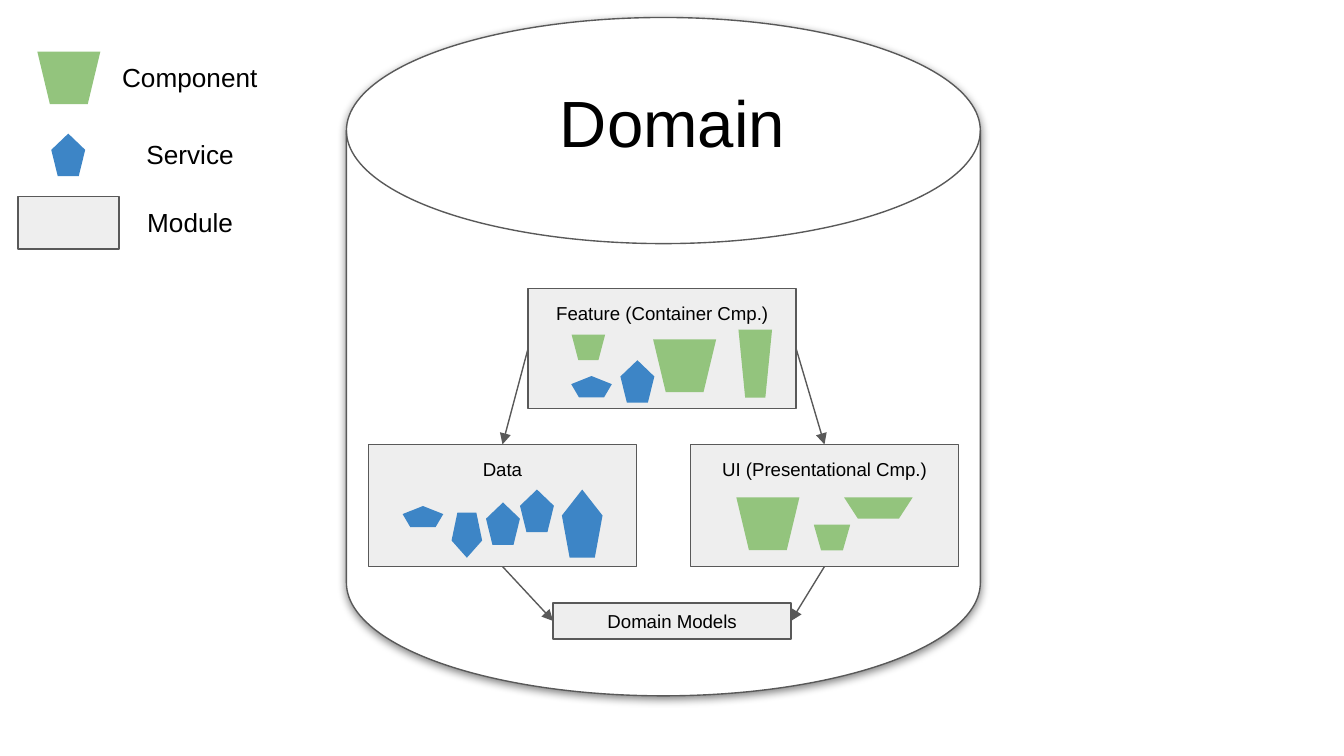
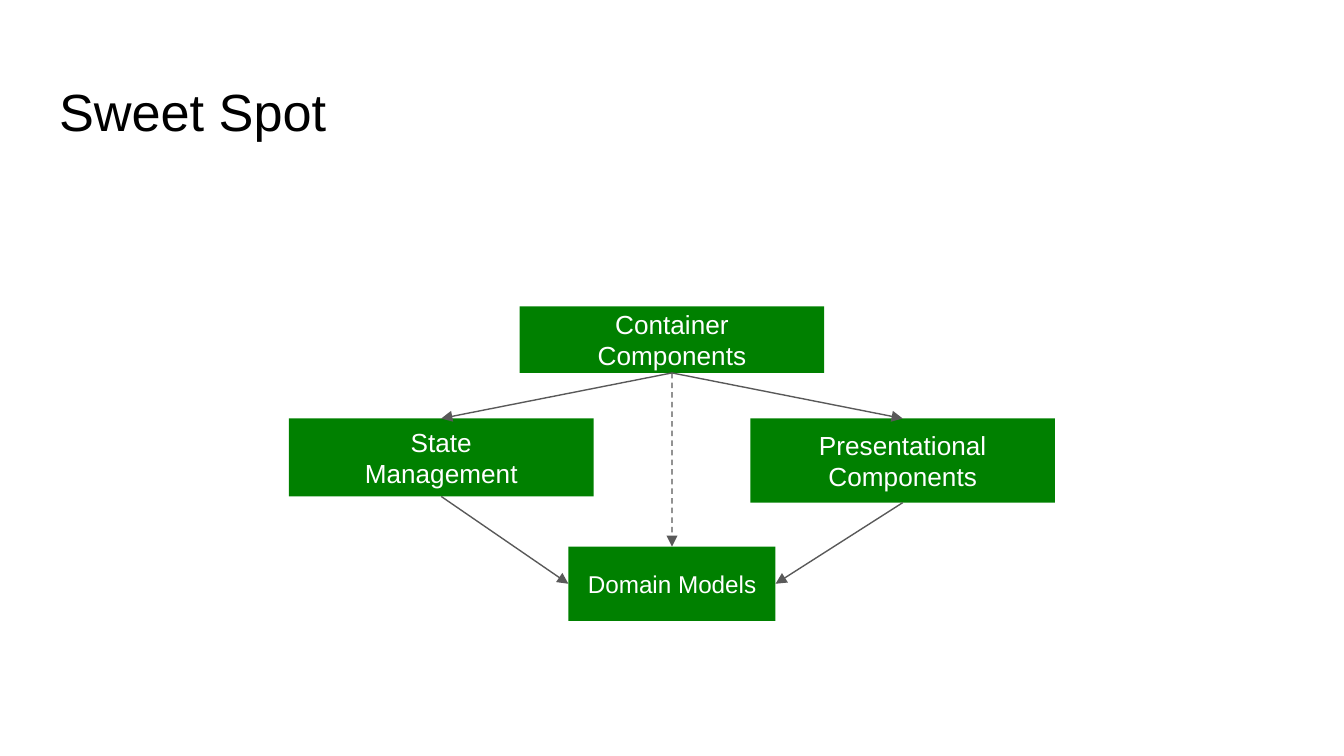
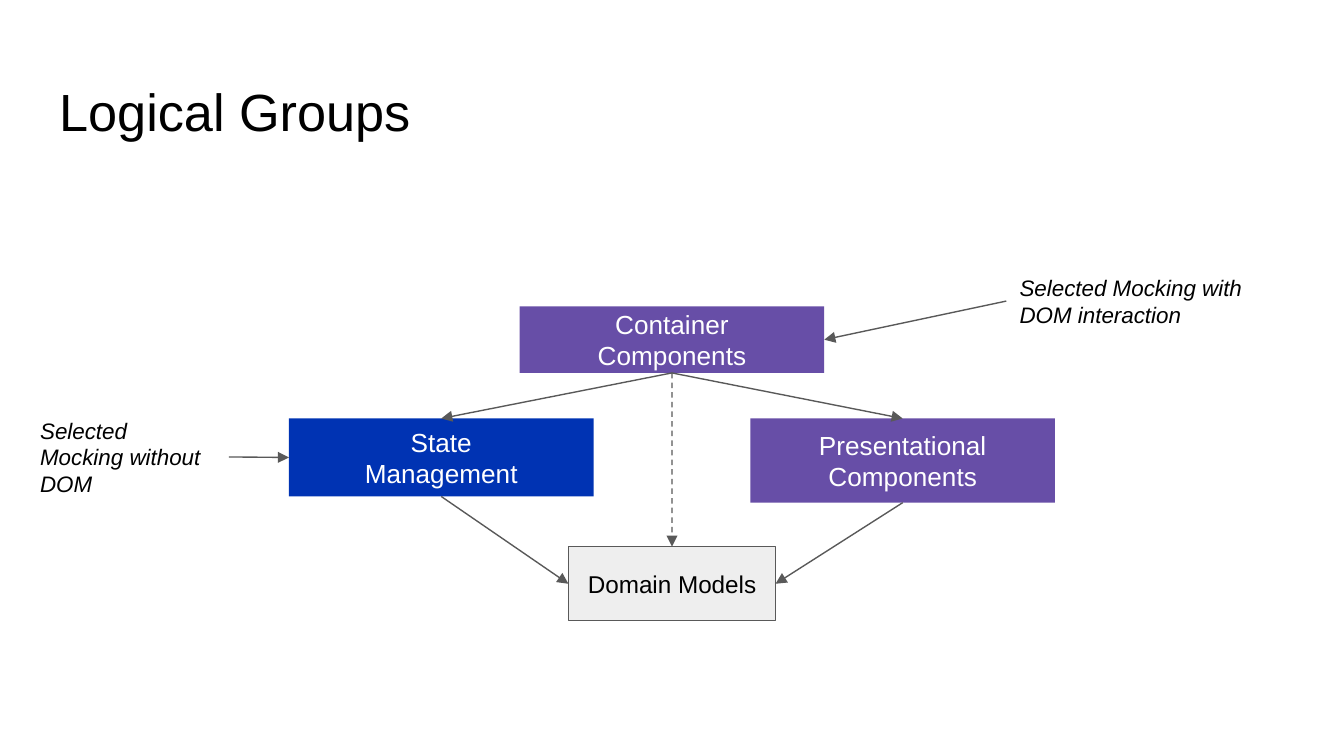
from lxml import etree
from pptx import Presentation
from pptx.dml.color import RGBColor
from pptx.enum import dml, shapes, text
from pptx.oxml import ns
from pptx.util import Pt

BLACK = RGBColor(0x00, 0x00, 0x00)
WHITE = RGBColor(0xFF, 0xFF, 0xFF)
GREY = RGBColor(0x59, 0x59, 0x59)
PALE = RGBColor(0xEE, 0xEE, 0xEE)
LEAF = RGBColor(0x93, 0xC4, 0x7D)
SKY = RGBColor(0x3D, 0x85, 0xC6)
GREEN = RGBColor(0x00, 0x80, 0x00)
PURPLE = RGBColor(0x67, 0x4E, 0xA7)
BLUE = RGBColor(0x00, 0x33, 0xB3)

FONT = "Arial"
INSET = 7.2
TOP, LEFT, BOTTOM, RIGHT = range(4)
KIND = shapes.MSO_SHAPE
CENTER = text.PP_ALIGN.CENTER
MIDDLE = text.MSO_ANCHOR.MIDDLE

DISK = (185.6, 9.4, 339.6, 363.4)
DOMAIN = (262, 36.7, 196.6, 56.9)
MODULES = {
    "Feature (Container Cmp.)": (282.9, 154.6, 143.6, 64.2),
    "Data": (197.4, 238.1, 143.6, 65.4),
    "UI (Presentational Cmp.)": (369.9, 238.1, 143.6, 65.4),
}
MODELS = (296.3, 323, 127.5, 19.3)
MODULE_ARROWS = [
    ("Feature (Container Cmp.)", LEFT, "Data", TOP),
    ("Feature (Container Cmp.)", RIGHT, "UI (Presentational Cmp.)", TOP),
    ("Data", BOTTOM, "Domain Models", LEFT),
    ("UI (Presentational Cmp.)", BOTTOM, "Domain Models", RIGHT),
]
COMPONENTS = [
    (349.9, 181.8, 33.8, 28.2),
    (394.5, 266.5, 33.8, 28.2),
    (452.2, 266.5, 36.7, 11.3),
    (436, 281.1, 19.5, 13.7),
    (306.2, 179.2, 18, 13.7),
    (395.6, 176.6, 18, 36.5),
    (20, 27.6, 33.8, 28.2),
]
SERVICES = [
    (306, 201.5, 21.8, 11.4, 0),
    (332.4, 193, 18.2, 22.8, 0),
    (215.7, 271.1, 21.8, 11.4, 0),
    (241.9, 274.6, 16.4, 24.2, 180),
    (301, 262.3, 21.8, 36.5, 0),
    (260.4, 269.2, 18.2, 22.8, 0),
    (278.6, 262.3, 18.2, 22.8, 0),
    (27.5, 71.6, 18.2, 22.8, 0),
]
LEGEND = [("Component", 25.9, None), ("Service", 67, CENTER), ("Module", 103.5, CENTER)]
LEGEND_MODULE = (9.6, 105.3, 54.1, 28.1)

TITLE = (24.5, 35, 670.9, 45.1)
LAYERS = {
    "container": ("Container\nComponents", (278.4, 164.2, 163.2, 35.6), 14),
    "view": ("Presentational Components", (402, 224.2, 163.2, 45.1), 14),
    "state": ("State\nManagement", (154.8, 224.2, 163.2, 41.8), 14),
    "models": ("Domain Models", (304.5, 292.9, 111, 39.7), 13),
}
LAYER_ARROWS = [
    ("container", BOTTOM, "state", TOP, False),
    ("container", BOTTOM, "view", TOP, False),
    ("container", BOTTOM, "models", TOP, True),
    ("state", BOTTOM, "models", LEFT, False),
    ("view", BOTTOM, "models", RIGHT, False),
]
DIAGRAMS = [
    {"title": "Sweet Spot", "fills": dict.fromkeys(LAYERS, GREEN), "callouts": []},
    {
        "title": "Logical Groups",
        "fills": {"container": PURPLE, "view": PURPLE, "state": BLUE, "models": PALE},
        "callouts": [
            ("Selected Mocking without DOM", (14.4, 223.9, 108.2, 41.8), RIGHT, "state", LEFT),
            ("Selected Mocking with DOM interaction", (539.1, 140.4, 152.6, 41.8),
             LEFT, "container", RIGHT),
        ],
    },
]


def write(box, words, size, color=BLACK, align=None, anchor=text.MSO_ANCHOR.TOP,
          italic=False, grow=False):
    frame = box.text_frame
    frame.word_wrap = True
    frame.auto_size = (text.MSO_AUTO_SIZE.SHAPE_TO_FIT_TEXT if grow
                       else text.MSO_AUTO_SIZE.NONE)
    frame.vertical_anchor = anchor
    frame.margin_left = frame.margin_right = Pt(INSET)
    frame.margin_top = frame.margin_bottom = Pt(INSET)
    frame.text = words
    for para in frame.paragraphs:
        para.alignment = align or text.PP_ALIGN.LEFT
        for span in para.runs:
            span.font.name = FONT
            span.font.size = Pt(size)
            span.font.color.rgb = color
            span.font.italic = italic


def add_label(page, words, area, size, **look):
    box = page.shapes.add_textbox(*map(Pt, area))
    write(box, words, size, **look)
    return box


def add_figure(page, kind, area, fill, outlined=False):
    figure = page.shapes.add_shape(kind, *map(Pt, area))
    figure.shadow.inherit = False
    figure.fill.solid()
    figure.fill.fore_color.rgb = fill
    if outlined:
        figure.line.color.rgb = GREY
        figure.line.width = Pt(0.75)
    else:
        figure.line.fill.background()
    return figure


def add_arrow(page, source, start, target, end, dashed=False):
    arrow = page.shapes.add_connector(shapes.MSO_CONNECTOR.STRAIGHT, 0, 0, 0, 0)
    arrow.begin_connect(source, start)
    arrow.end_connect(target, end)
    arrow.line.color.rgb = GREY
    arrow.line.width = Pt(0.75)
    if dashed:
        arrow.line.dash_style = dml.MSO_LINE.DASH
    etree.SubElement(arrow.line._get_or_add_ln(), ns.qn("a:tailEnd"), type="triangle")
    etree.SubElement(arrow._element.spPr, ns.qn("a:effectLst"))


def drop_shadow(figure):
    effects = figure._element.spPr.find(ns.qn("a:effectLst"))
    shadow = etree.SubElement(effects, ns.qn("a:outerShdw"), blurRad=str(Pt(4.5)),
                              dist=str(Pt(1.5)), dir="5400000", algn="bl",
                              rotWithShape="0")
    color = etree.SubElement(shadow, ns.qn("a:srgbClr"), val=str(BLACK))
    etree.SubElement(color, ns.qn("a:alpha"), val="50000")


def build_domain(deck):
    page = deck.slides.add_slide(deck.slide_layouts[6])
    drop_shadow(add_figure(page, KIND.FLOWCHART_MAGNETIC_DISK, DISK, WHITE, outlined=True))
    add_label(page, "Domain", DOMAIN, 35, align=CENTER, grow=True)
    boxes = {}
    for name, area in MODULES.items():
        boxes[name] = add_figure(page, KIND.RECTANGLE, area, PALE, outlined=True)
        write(boxes[name], name, 10, align=CENTER)
    models = add_figure(page, KIND.RECTANGLE, MODELS, PALE, outlined=True)
    write(models, "Domain Models", 10, align=CENTER, anchor=MIDDLE)
    boxes["Domain Models"] = models
    for area in COMPONENTS:
        add_figure(page, KIND.FLOWCHART_MANUAL_OPERATION, area, LEAF)
    for *area, turn in SERVICES:
        add_figure(page, KIND.REGULAR_PENTAGON, area, SKY).rotation = turn
    add_figure(page, KIND.RECTANGLE, LEGEND_MODULE, PALE, outlined=True)
    for name, top, align in LEGEND:
        add_label(page, name, (58.3, top, 87.1, 31.7), 14, align=align, grow=True)
    for source, start, target, end in MODULE_ARROWS:
        add_arrow(page, boxes[source], start, boxes[target], end)


def build_diagram(deck, diagram):
    page = deck.slides.add_slide(deck.slide_layouts[5])
    title = page.shapes.title
    title.left, title.top, title.width, title.height = map(Pt, TITLE)
    write(title, diagram["title"], 28)
    boxes = {}
    for name, (words, area, size) in LAYERS.items():
        fill = diagram["fills"][name]
        pale = fill == PALE
        boxes[name] = add_figure(page, KIND.RECTANGLE, area, fill, outlined=pale)
        write(boxes[name], words, size, color=BLACK if pale else WHITE,
              align=CENTER, anchor=MIDDLE)
    for source, start, target, end, dashed in LAYER_ARROWS:
        add_arrow(page, boxes[source], start, boxes[target], end, dashed)
    for words, area, start, target, end in diagram["callouts"]:
        note = add_label(page, words, area, 12, anchor=MIDDLE, italic=True)
        add_arrow(page, note, start, boxes[target], end)


def main():
    deck = Presentation()
    deck.slide_width, deck.slide_height = Pt(720), Pt(405)
    build_domain(deck)
    for diagram in DIAGRAMS:
        build_diagram(deck, diagram)
    deck.save("out.pptx")


if __name__ == "__main__":
    main()
